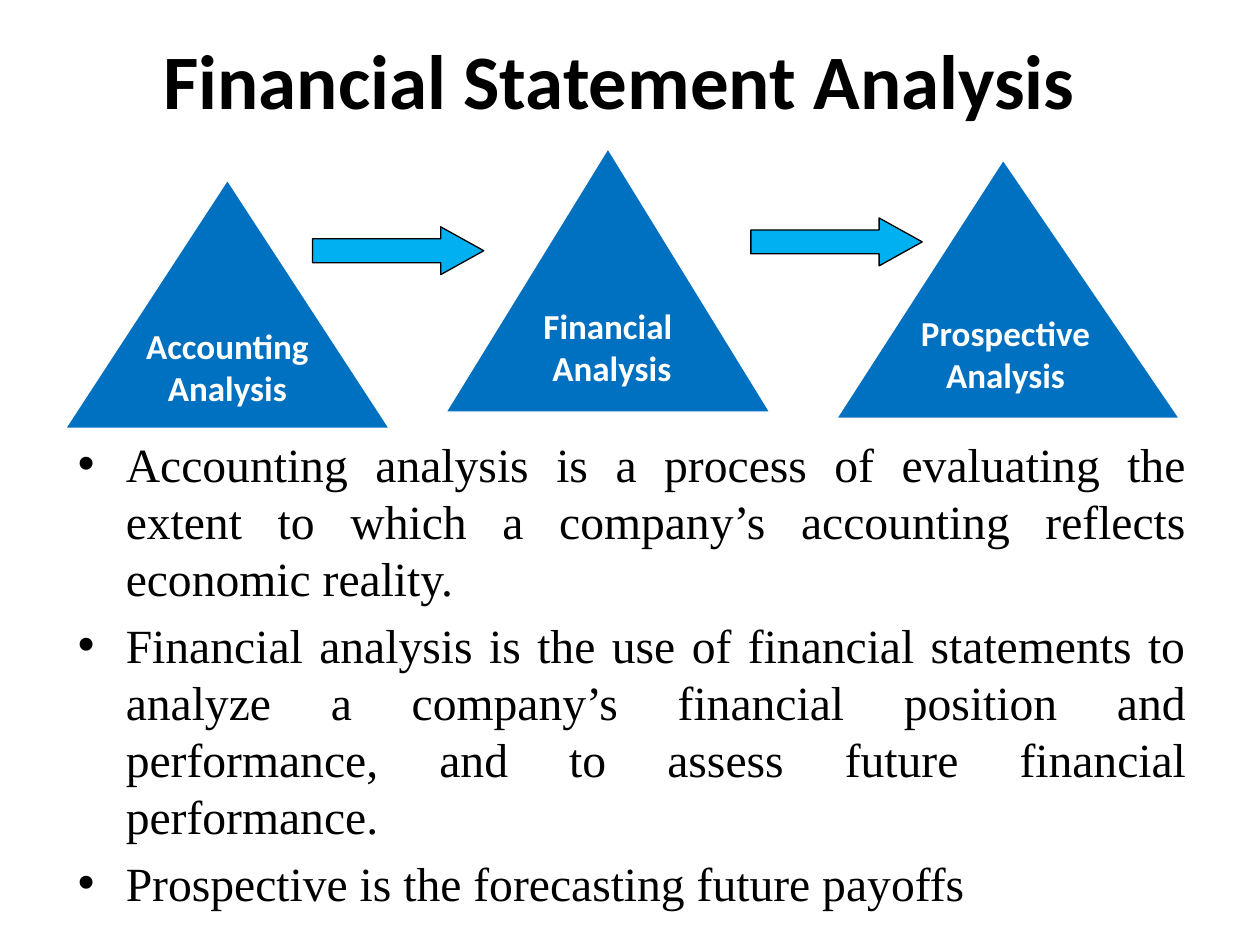
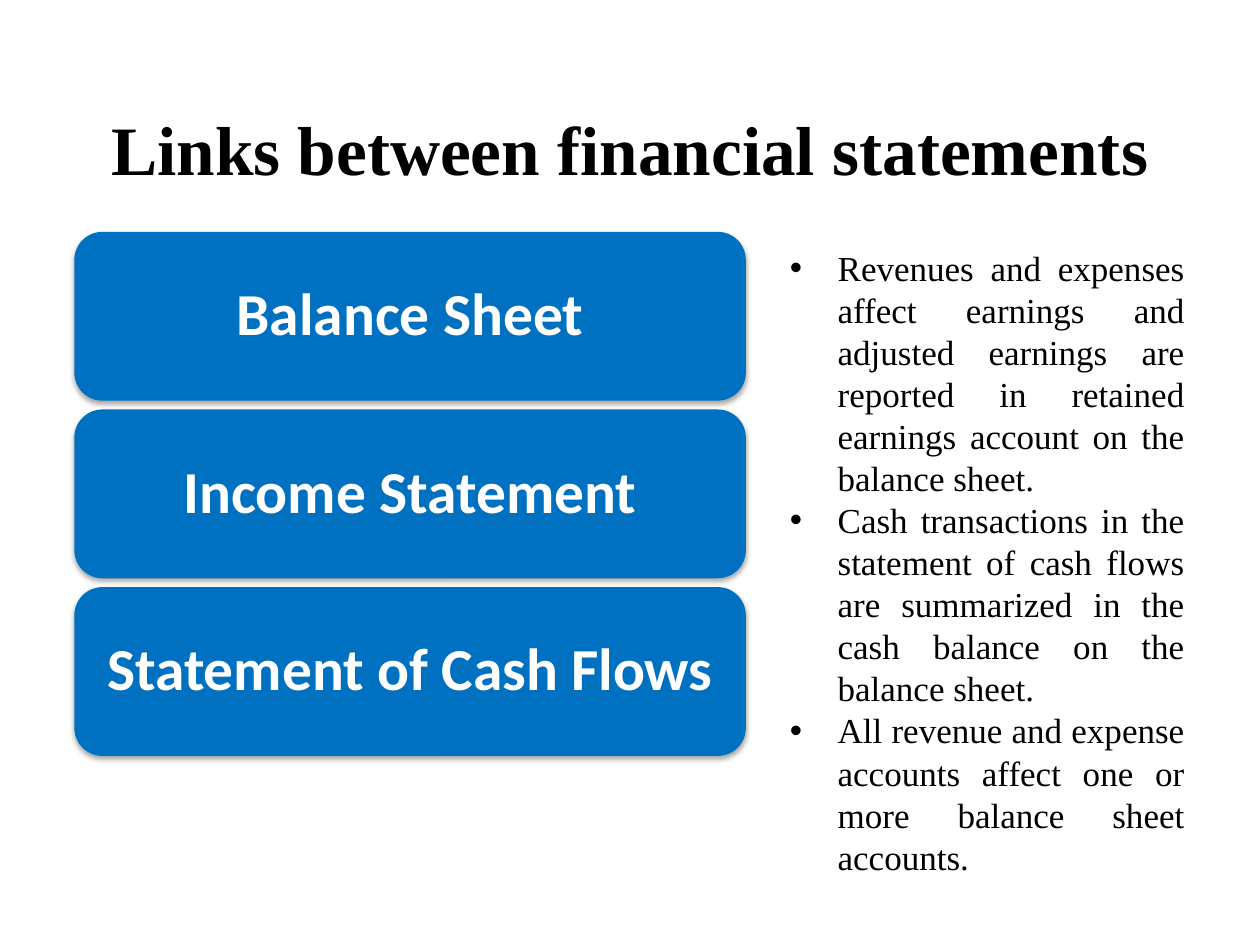
from dataclasses import dataclass

from lxml import etree
from pptx import Presentation
from pptx import util as u
from pptx.dml.color import RGBColor
from pptx.enum import shapes, text
from pptx.oxml.ns import qn


@dataclass(frozen=True)
class Theme:
    blue: RGBColor = RGBColor(0x00, 0x70, 0xC0)
    sky: RGBColor = RGBColor(0x00, 0xB0, 0xF0)
    black: RGBColor = RGBColor(0, 0, 0)
    white: RGBColor = RGBColor(255, 255, 255)
    sans: str = "Calibri"
    serif: str = "Times New Roman"
    title: float = 44
    serif_title: float = 39.6
    card: float = 34
    body: float = 27.2
    small: float = 20


T = Theme()
SHAPE = shapes.MSO_SHAPE
ALIGN = text.PP_ALIGN
ANCHOR = text.MSO_ANCHOR


def write(sp, words, font, size, color, bold=True, align=ALIGN.CENTER,
          anchor=ANCHOR.MIDDLE, wrap=True, bullet=False, before=0):
    """Fill a shape with paragraphs, one per line of words."""
    tf = sp.text_frame
    tf.text = words
    tf.word_wrap = wrap
    tf.vertical_anchor = anchor
    for i, p in enumerate(tf.paragraphs):
        p.alignment = align
        if bullet:
            pPr = p._p.get_or_add_pPr()
            pPr.set("marL", str(u.Inches(0.38)))
            pPr.set("indent", str(u.Inches(-0.38)))
            etree.SubElement(pPr, qn("a:buFont")).set("typeface", "Arial")
            etree.SubElement(pPr, qn("a:buChar")).set("char", "•")
        if before and i:
            p.space_before = u.Pt(before)
        for r in p.runs:
            r.font.name = font
            r.font.size = u.Pt(size)
            r.font.bold = bold
            r.font.color.rgb = color


def add_block(s, kind, box, fill, line=None):
    """Add a flat preset shape, outlined only when a line colour is given."""
    sp = s.shapes.add_shape(kind, *map(u.Inches, box))
    sp.shadow.inherit = False
    sp.fill.solid()
    sp.fill.fore_color.rgb = fill
    if line is None:
        sp.line.fill.background()
    else:
        sp.line.color.rgb = line
        sp.line.width = u.Pt(0.75)
    return sp


prs = Presentation()
prs.slide_width, prs.slide_height = u.Inches(10), u.Inches(7.5)
blank = prs.slide_layouts[6]

# Slide 1: the three stages of analysis
s = prs.slides.add_slide(blank)
stages = [
    ("Prospective\nAnalysis", (6.64, 1.27, 2.72, 2.05), 0.486),
    ("Accounting\nAnalysis", (0.52, 1.43, 2.57, 1.97), 0.5),
    ("Financial\n Analysis", (3.54, 1.18, 2.57, 2.09), 0.5),
]
for label, box, apex in stages:
    sp = add_block(s, SHAPE.ISOSCELES_TRIANGLE, box, T.blue, T.white)
    sp.adjustments[0] = apex
    write(sp, label, T.sans, T.small, T.white, wrap=False)

# Arrows between stages
for left, top in [(2.48, 1.8), (5.96, 1.73)]:
    sp = add_block(s, SHAPE.RIGHT_ARROW, (left, top, 1.36, 0.38), T.sky, T.black)
    sp.adjustments[1] = 0.9

# Title and definitions
sp = s.shapes.add_textbox(*map(u.Inches, (0.67, 0.21, 8.5, 0.92)))
write(sp, "Financial Statement Analysis", T.sans, T.title, T.black, anchor=ANCHOR.TOP)

definitions = [
    "Accounting analysis is a process of evaluating the extent to which "
    "a company’s accounting reflects economic reality.",
    "Financial analysis is the use of financial statements to analyze a company’s "
    "financial position and performance, and to assess future financial performance.",
    "Prospective is the forecasting future payoffs",
]
sp = s.shapes.add_textbox(*map(u.Inches, (0.52, 3.4, 9, 3.3)))
write(sp, "\n".join(definitions), T.serif, T.body, T.black, bold=False,
      align=ALIGN.JUSTIFY, anchor=ANCHOR.TOP, bullet=True, before=0.2 * T.body)

# Slide 2: links between statements
s = prs.slides.add_slide(blank)
sp = s.shapes.add_textbox(*map(u.Inches, (0.5, 0.3, 9, 1.25)))
write(sp, "Links between financial statements", T.serif, T.serif_title, T.black,
      anchor=ANCHOR.BOTTOM)

links = [
    "Revenues and expenses affect earnings and adjusted earnings are reported "
    "in retained earnings account on the balance sheet.",
    "Cash transactions in the statement of cash flows are summarized "
    "in the cash balance on the balance sheet.",
    "All revenue and expense accounts affect one or more balance sheet accounts.",
]
sp = s.shapes.add_textbox(*map(u.Inches, (6.17, 1.91, 3.33, 4.17)))
write(sp, "\n".join(links), T.serif, T.small, T.black, bold=False,
      align=ALIGN.JUSTIFY, anchor=ANCHOR.TOP, bullet=True)

# Statement cards with a soft shadow below
statements = ["Balance Sheet", "Income Statement", "Statement of Cash Flows"]
for i, name in enumerate(statements):
    sp = add_block(s, SHAPE.ROUNDED_RECTANGLE, (0.59, 1.84 + 1.41 * i, 5.33, 1.34), T.blue)
    effects = sp._element.spPr.find(qn("a:effectLst"))
    shadow = etree.SubElement(effects, qn("a:outerShdw"), blurRad=str(u.Pt(3.1)),
                              dist=str(u.Pt(1.8)), dir="5400000", rotWithShape="0")
    tint = etree.SubElement(shadow, qn("a:srgbClr"), val=str(T.black))
    etree.SubElement(tint, qn("a:alpha"), val="35000")
    tf = sp.text_frame
    tf.margin_left = tf.margin_right = u.Inches(0.14)
    tf.margin_top = tf.margin_bottom = u.Inches(0.07)
    write(sp, name, T.sans, T.card, T.white)
    tf.paragraphs[0].line_spacing = 0.9

prs.save("out.pptx")
